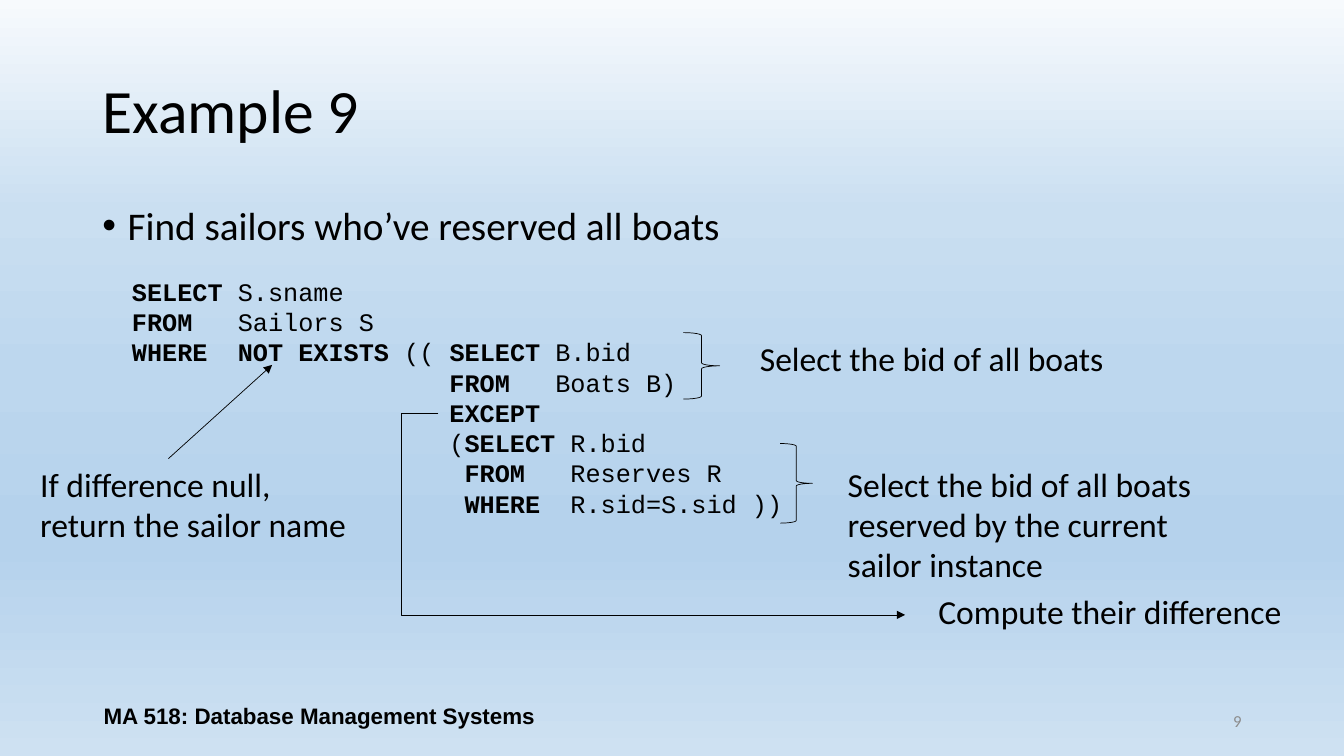
from dataclasses import dataclass
from typing import NamedTuple

from lxml.etree import SubElement
from pptx import Presentation
from pptx.dml.color import RGBColor
from pptx.enum.shapes import MSO_CONNECTOR, MSO_SHAPE
from pptx.enum.text import MSO_ANCHOR, PP_ALIGN
from pptx.oxml.ns import qn
from pptx.util import Inches, Pt


@dataclass(frozen=True)
class Theme:
    ink: str = "000000"
    grey: str = "8C8C8C"
    sans: str = "Calibri"
    foot: str = "Arial"
    mono: str = "Courier New"
    title: int = 44
    body: int = 28
    note: int = 24
    code: int = 18
    label: int = 16
    page: int = 12
    line: float = 0.5
    sky: tuple = ((0, "F7FAFD"), (28, "CADFF1"), (49, "BDD7EE"),
                  (71, "B5D2EC"), (72, "B5D2EC"), (100, "CEE1F2"))


class Box(NamedTuple):
    """Left, top, width and height in percent of the slide."""
    x: float
    y: float
    w: float
    h: float


class Note(NamedTuple):
    box: Box
    lines: list


class Row(NamedTuple):
    """A code line; *bold* words, tab stops counted in letters."""
    text: str
    stops: tuple = ()


class Arrow(NamedTuple):
    """Start and end in percent of the slide; bend is the elbow's share."""
    x1: float
    y1: float
    x2: float
    y2: float
    bend: float | None = None


LOOK = Theme()
WIDE, HIGH = Inches(13.333), Inches(7.5)
LETTER = Pt(LOOK.code * 0.6)  # width of one fixed-pitch letter

ROWS = [
    Row("*SELECT* S.sname"),
    Row("*FROM*\tSailors S", (7,)),
    Row("*WHERE\tNOT EXISTS* (( *SELECT* B.bid", (7,)),
    Row("\t*FROM*\tBoats B)", (21, 28)),
    Row("\t*EXCEPT*", (21,)),
    Row("\t(*SELECT* R.bid", (21,)),
    Row("\t*FROM*\tReserves R", (22, 29)),
    Row("\t*WHERE*\tR.sid=S.sid ))", (22, 29)),
]
NOTES = [
    Note(Box(55.8, 44, 27.3, 6.67), ["Select the bid of all boats"]),
    Note(Box(62.33, 60.67, 27.3, 17.47),
         ["Select the bid of all boats", "reserved by the current", "sailor instance"]),
    Note(Box(69.08, 77.47, 27.38, 6.67), ["Compute their difference"]),
    Note(Box(2.25, 60.67, 24.53, 12.13), ["If difference null,", "return the sailor name"]),
]
BRACES = [Box(50.85, 44, 2.7, 8.8), Box(58.05, 58.67, 2.4, 10.53)]
ARROWS = [Arrow(32.63, 54.67, 67.35, 81.33, -0.08), Arrow(12.53, 60.67, 20.25, 48.27)]


def across(share: float) -> int:
    return round(WIDE * share / 100)


def down(share: float) -> int:
    return round(HIGH * share / 100)


def place(box: Box) -> tuple:
    return across(box.x), down(box.y), across(box.w), down(box.h)


def write(slide, box: Box, lines: list, *, size: int, font: str = LOOK.sans,
          color: str = LOOK.ink, bold: bool = False, wrap: bool = True,
          align=PP_ALIGN.LEFT, anchor=MSO_ANCHOR.TOP, space: float | None = None):
    """Add a text box; words between asterisks switch the weight."""
    frame = slide.shapes.add_textbox(*place(box)).text_frame
    frame.word_wrap = wrap
    frame.vertical_anchor = anchor
    for i, line in enumerate(lines):
        para = frame.paragraphs[0] if i == 0 else frame.add_paragraph()
        para.alignment = align
        if space:
            para.line_spacing = space
        for j, part in enumerate(line.split("*")):
            if not part:
                continue
            run = para.add_run()
            run.text = part
            run.font.name = font
            run.font.size = Pt(size)
            run.font.bold = bold != (j % 2 == 1)
            run.font.color.rgb = RGBColor.from_string(color)
    return frame


def bullet(para) -> None:
    para.space_before = Pt(10)
    props = para._p.get_or_add_pPr()
    props.set("marL", str(Inches(0.25)))
    props.set("indent", str(-Inches(0.25)))
    SubElement(props, qn("a:buFont"), typeface=LOOK.foot)
    SubElement(props, qn("a:buChar"), char="•")


def tabs(para, stops: tuple) -> None:
    if stops:
        group = SubElement(para._p.get_or_add_pPr(), qn("a:tabLst"))
        for stop in stops:
            SubElement(group, qn("a:tab"), pos=str(stop * LETTER), algn="l")


def stroke(shape) -> None:
    shape.line.color.rgb = RGBColor.from_string(LOOK.ink)
    shape.line.width = Pt(LOOK.line)


def brace(slide, box: Box) -> None:
    shape = slide.shapes.add_shape(MSO_SHAPE.RIGHT_BRACE, *place(box))
    shape.shadow.inherit = False
    shape.fill.background()
    stroke(shape)


def arrow(slide, item: Arrow) -> None:
    kind = MSO_CONNECTOR.STRAIGHT if item.bend is None else MSO_CONNECTOR.ELBOW
    link = slide.shapes.add_connector(
        kind, across(item.x1), down(item.y1), across(item.x2), down(item.y2))
    stroke(link)
    SubElement(link.line._get_or_add_ln(), qn("a:tailEnd"), type="triangle")
    props = link._element.spPr
    SubElement(props, qn("a:effectLst"))
    if item.bend is not None:
        guides = props.find(qn("a:prstGeom")).get_or_add_avLst()
        SubElement(guides, qn("a:gd"), name="adj1",
                   fmla=f"val {round(item.bend * 100000)}")


def paint(slide) -> None:
    """Fill the background from top to bottom."""
    fill = slide.background.fill
    fill.gradient()
    fill.gradient_angle = 270
    group = slide._element.find(".//" + qn("a:gsLst"))
    for old in list(group):
        group.remove(old)
    for share, color in LOOK.sky:
        stop = SubElement(group, qn("a:gs"), pos=str(share * 1000))
        SubElement(stop, qn("a:srgbClr"), val=color)


def main() -> None:
    deck = Presentation()
    deck.slide_width, deck.slide_height = WIDE, HIGH
    slide = deck.slides.add_slide(deck.slide_layouts[6])
    paint(slide)

    # Title and question
    write(slide, Box(6.88, 5.33, 86.25, 19.33), ["Example 9"],
          size=LOOK.title, anchor=MSO_ANCHOR.MIDDLE, space=0.9)
    body = write(slide, Box(6.88, 26.67, 86.25, 63.47),
                 ["Find sailors who’ve reserved all boats"], size=LOOK.body, space=0.9)
    bullet(body.paragraphs[0])

    # Footer
    write(slide, Box(70.63, 92.67, 22.5, 5.33), ["9"], size=LOOK.page,
          color=LOOK.grey, align=PP_ALIGN.RIGHT, anchor=MSO_ANCHOR.MIDDLE)
    write(slide, Box(6.88, 92, 33.75, 5.33), ["MA 518: Database Management Systems"],
          size=LOOK.label, font=LOOK.foot, bold=True,
          align=PP_ALIGN.CENTER, anchor=MSO_ANCHOR.MIDDLE)

    # Query
    query = write(slide, Box(9.08, 35.87, 50.03, 33.6), [row.text for row in ROWS],
                  size=LOOK.code, font=LOOK.mono)
    for para, row in zip(query.paragraphs, ROWS):
        tabs(para, row.stops)

    # Remarks with their braces and arrows
    for box in BRACES:
        brace(slide, box)
    for note in NOTES:
        write(slide, note.box, note.lines, size=LOOK.note, wrap=False)
    for item in ARROWS:
        arrow(slide, item)

    deck.save("out.pptx")


if __name__ == "__main__":
    main()
